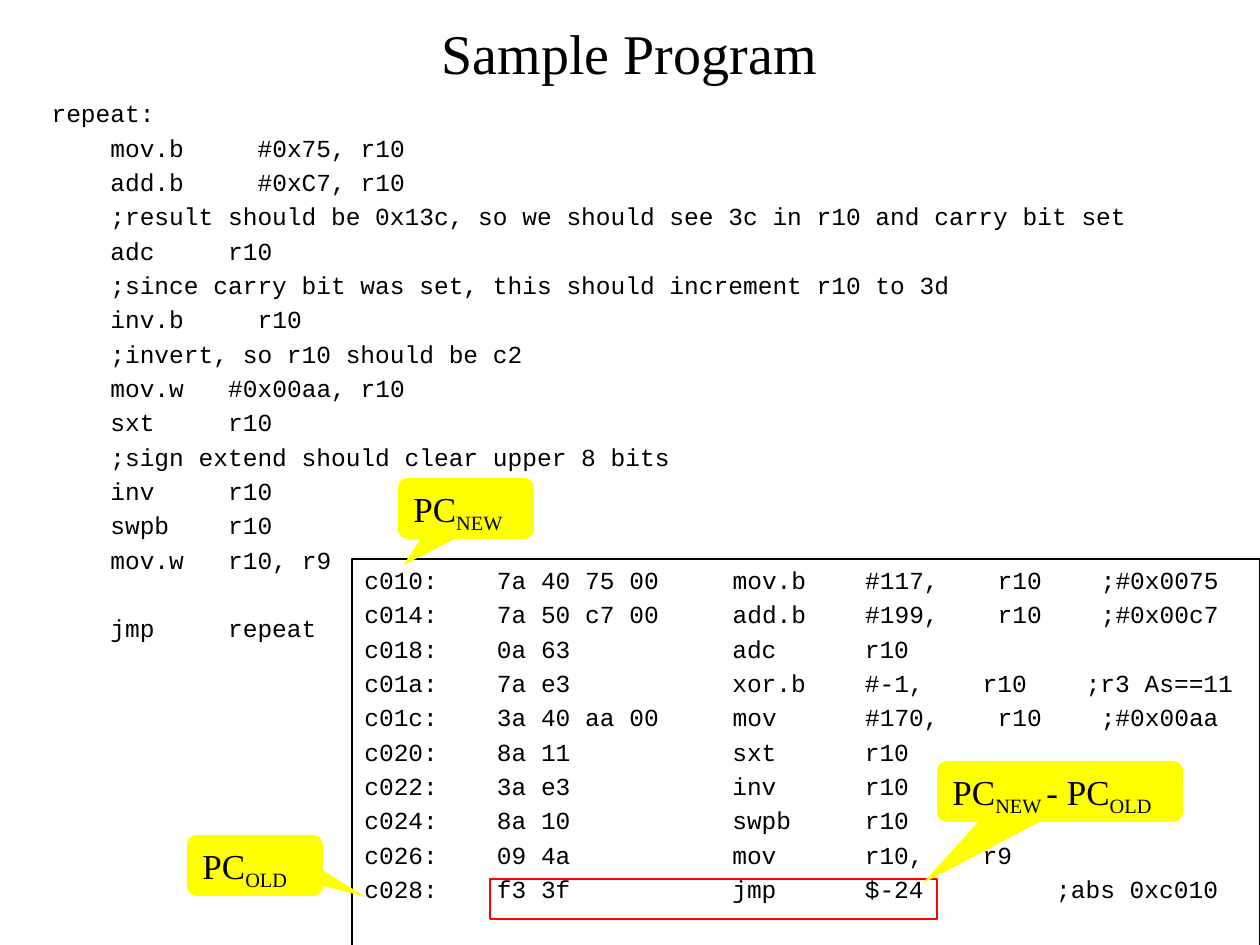
from dataclasses import dataclass

from lxml.etree import SubElement
from pptx import Presentation
from pptx.dml.color import RGBColor
from pptx.enum.shapes import MSO_SHAPE
from pptx.enum.text import MSO_ANCHOR, MSO_AUTO_SIZE, PP_ALIGN
from pptx.oxml.ns import qn
from pptx.util import Emu, Pt

BLACK = RGBColor(0x00, 0x00, 0x00)
RED = RGBColor(0xFF, 0x00, 0x00)
YELLOW = RGBColor(0xFF, 0xFF, 0x00)
SERIF = "Times New Roman"
MONO = "Courier New"
EMU_PER_PX = 914400 / 126
CODE_SIZE = 14
CHARACTER_POINTS = 8.4
FIRST_GAP = 2.3
LINE_GAP = 2.8
BLOCK_GAP = 22.4


@dataclass(frozen=True)
class Area:
    left: int
    top: int
    width: int
    height: int

    def lengths(self) -> list[Emu]:
        sides = (self.left, self.top, self.width, self.height)
        return [Emu(round(side * EMU_PER_PX)) for side in sides]


@dataclass(frozen=True)
class CodeLine:
    fields: tuple[str, ...]
    columns: tuple[int, ...] = (0,)
    gap: float = LINE_GAP


@dataclass(frozen=True)
class Callout:
    area: Area
    tip: tuple[float, float]
    spans: tuple[tuple[str, bool], ...]


def source_line(mnemonic: str, operands: str, column: int = 12, gap: float = LINE_GAP) -> CodeLine:
    return CodeLine((mnemonic, operands), (4, column), gap)


def comment_line(text: str) -> CodeLine:
    return CodeLine((f";{text}",), (4,))


def listing_line(*fields: str, spacing: int = 4) -> CodeLine:
    columns = [0, 9, 25, 34]
    for field in fields[3:-1]:
        columns.append(columns[-1] + len(field) + spacing)
    return CodeLine(fields, tuple(columns))


PROGRAM = (
    CodeLine(("repeat:",)),
    source_line("mov.b", "#0x75, r10", 14),
    source_line("add.b", "#0xC7, r10", 14),
    comment_line("result should be 0x13c, so we should see 3c in r10 and carry bit set"),
    source_line("adc", "r10"),
    comment_line("since carry bit was set, this should increment r10 to 3d"),
    source_line("inv.b", "r10", 14),
    comment_line("invert, so r10 should be c2"),
    source_line("mov.w", "#0x00aa, r10"),
    source_line("sxt", "r10"),
    comment_line("sign extend should clear upper 8 bits"),
    source_line("inv", "r10"),
    source_line("swpb", "r10"),
    source_line("mov.w", "r10, r9"),
    source_line("jmp", "repeat", gap=BLOCK_GAP),
)

LISTING = (
    listing_line("c010:", "7a 40 75 00", "mov.b", "#117,", "r10", ";#0x0075"),
    listing_line("c014:", "7a 50 c7 00", "add.b", "#199,", "r10", ";#0x00c7"),
    listing_line("c018:", "0a 63", "adc", "r10"),
    listing_line("c01a:", "7a e3", "xor.b", "#-1,", "r10", ";r3 As==11"),
    listing_line("c01c:", "3a 40 aa 00", "mov", "#170,", "r10", ";#0x00aa"),
    listing_line("c020:", "8a 11", "sxt", "r10"),
    listing_line("c022:", "3a e3", "inv", "r10"),
    listing_line("c024:", "8a 10", "swpb", "r10"),
    listing_line("c026:", "09 4a", "mov", "r10,", "r9"),
    listing_line("c028:", "f3 3f", "jmp", "$-24", ";abs 0xc010", spacing=9),
)

NEW_COUNTER = (("PC", False), ("NEW", True))
OLD_COUNTER = (("PC", False), ("OLD", True))
DIFFERENCE = (("PC", False), ("NEW ", True), ("- PC", False), ("OLD", True))
CALLOUTS = (
    Callout(Area(187, 835, 136, 61), (0.81, 0.51), OLD_COUNTER),
    Callout(Area(398, 478, 136, 61), (-0.46, 0.93), NEW_COUNTER),
    Callout(Area(937, 761, 246, 61), (-0.56, 1.51), DIFFERENCE),
)


def place(box, area: Area) -> None:
    box.left, box.top, box.width, box.height = area.lengths()


def write_span(
    para, text: str, *, font: str, size: int, subscript: bool = False, tracking: float = 0
) -> None:
    span = para.add_run()
    span.text = text
    span.font.name = font
    span.font.size = Pt(size)
    span.font.color.rgb = BLACK
    if subscript:
        span.font._element.set("baseline", "-25000")
    if tracking:
        span.font._element.set("spc", str(round(tracking * 100)))


def write_fields(para, line: CodeLine) -> None:
    end = line.columns[0]
    for field, column in zip(line.fields, line.columns):
        if column > end:
            tracking = (column - end - 1) * CHARACTER_POINTS
            write_span(para, " ", font=MONO, size=CODE_SIZE, tracking=tracking)
        write_span(para, field, font=MONO, size=CODE_SIZE)
        end = column + len(field)


def write_code(frame, lines: tuple[CodeLine, ...]) -> None:
    frame.word_wrap = True
    frame.auto_size = MSO_AUTO_SIZE.NONE
    frame.vertical_anchor = MSO_ANCHOR.TOP
    for index, line in enumerate(lines):
        para = frame.add_paragraph() if index else frame.paragraphs[0]
        para.alignment = PP_ALIGN.LEFT
        para.space_before = Pt(line.gap if index else FIRST_GAP)
        properties = para._p.get_or_add_pPr()
        properties.set("marL", str(Pt(line.columns[0] * CHARACTER_POINTS)))
        properties.set("indent", "0")
        SubElement(properties, qn("a:buNone"))
        write_fields(para, line)


def add_outline(page, area: Area, color: RGBColor, weight: float):
    box = page.shapes.add_shape(MSO_SHAPE.RECTANGLE, *area.lengths())
    box.shadow.inherit = False
    box.fill.background()
    box.line.color.rgb = color
    box.line.width = Pt(weight)
    return box


def add_callout(page, callout: Callout) -> None:
    box = page.shapes.add_shape(MSO_SHAPE.ROUNDED_RECTANGULAR_CALLOUT, *callout.area.lengths())
    box.shadow.inherit = False
    box.fill.solid()
    box.fill.fore_color.rgb = YELLOW
    box.line.fill.background()
    box.adjustments[0], box.adjustments[1] = callout.tip
    frame = box.text_frame
    frame.word_wrap = True
    frame.vertical_anchor = MSO_ANCHOR.TOP
    para = frame.paragraphs[0]
    para.alignment = PP_ALIGN.LEFT
    para.space_before = Pt(4.5)
    for text, subscript in callout.spans:
        write_span(para, text, font=SERIF, size=20, subscript=subscript)


def main() -> None:
    deck = Presentation()
    deck.slide_width, deck.slide_height = Area(0, 0, 1260, 945).lengths()[2:]
    page = deck.slides.add_slide(deck.slide_layouts[1])

    title = page.shapes.title
    place(title, Area(94, 21, 1071, 63))
    title.text_frame.auto_size = MSO_AUTO_SIZE.NONE
    title.text_frame.vertical_anchor = MSO_ANCHOR.MIDDLE
    heading = title.text_frame.paragraphs[0]
    heading.alignment = PP_ALIGN.CENTER
    write_span(heading, "Sample Program", font=SERIF, size=32)

    program = page.placeholders[1]
    place(program, Area(39, 92, 1126, 233))
    write_code(program.text_frame, PROGRAM)

    listing = add_outline(page, Area(352, 559, 908, 388), BLACK, 0.75)
    write_code(listing.text_frame, LISTING)
    add_outline(page, Area(490, 879, 447, 40), RED, 1.5)
    for callout in CALLOUTS:
        add_callout(page, callout)
    deck.save("out.pptx")


if __name__ == "__main__":
    main()
